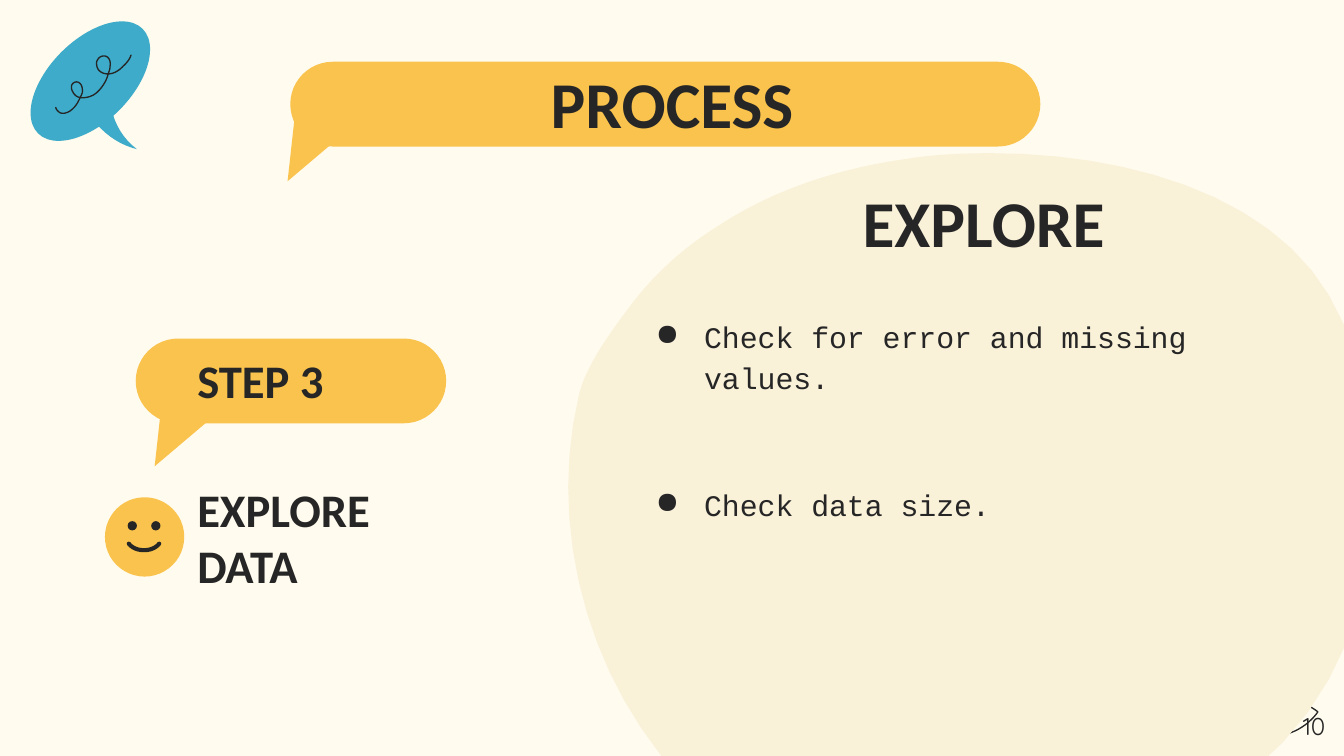
from dataclasses import dataclass

from lxml.etree import SubElement
from pptx import Presentation
from pptx.dml.color import RGBColor
from pptx.enum.shapes import MSO_SHAPE as Preset
from pptx.enum.text import MSO_ANCHOR as Anchor, PP_ALIGN as Align
from pptx.oxml.ns import qn
from pptx.shapes.autoshape import Shape
from pptx.slide import Slide
from pptx.text.text import _Paragraph as Paragraph
from pptx.util import Pt

CREAM, SAND, YELLOW, BLUE, INK = "FFFBEE", "FAF1D9", "FAC34D", "3DABC9", "262626"
CURVE_STEPS = 12


@dataclass
class Outline:
    """A path in points: segments of two numbers are lines, of six are cubic curves."""
    start: tuple[float, float]
    segments: list[tuple[float, ...]]


@dataclass
class Bubble:
    left: float
    top: float
    width: float
    tail_left: float
    tail_top: float


@dataclass
class Label:
    text: str
    left: float
    top: float
    width: float
    height: float
    size: float
    font: str = "Calibri"
    bold: bool = True
    align: Align = Align.LEFT
    anchor: Anchor = Anchor.MIDDLE


BACKDROP = Outline((531.4, 82.1), [
    (515.5, 82.1, 500.4, 82.8, 486.7, 85),
    (450, 90, 414, 101.5, 383.8, 121.7),
    (366.5, 132.5, 351.4, 146.2, 339.1, 162),
    (328.3, 176.4, 314.6, 194.4, 310.3, 211),
    (294.5, 275.8, 311, 349.9, 353.5, 403.9),
    (364, 417, 375.8, 428.4, 388.1, 437),
    (630.7, 437),
    (652.3, 427, 671, 414, 687.6, 397.4),
    (744.5, 337.7, 753.1, 228.2, 712.1, 158.4),
    (679, 102.2, 599.8, 82.1, 531.4, 82.1),
])
BLUE_TAIL = Outline((45.4, 56.2), [
    (50.4, 67.7, 61.2, 77, 73.4, 79.9),
    (62.6, 72, 57.6, 58.3, 59, 45.4),
])
SQUIGGLE = Outline((29.9, 57.6), [
    (30.2, 58.8, 31, 59.5, 31.9, 60.2),
    (33, 60.9, 34.4, 60.8, 35.8, 60.3),
    (37, 60, 38.2, 59, 39.3, 58),
    (40.5, 56.8, 41.8, 55, 42.8, 52.6),
    (43.6, 51, 44.2, 50, 44.2, 48.8),
    (44.2, 47.6, 44, 46.3, 43.4, 45.3),
    (42.7, 44.2, 41.4, 43.6, 40.3, 44),
    (39, 44.4, 38.3, 45.4, 38.3, 46.6),
    (38.3, 47.6, 38.6, 48.6, 39.2, 49.5),
    (40, 51, 41.4, 52, 42.8, 52.2),
    (44, 52.4, 45, 52.4, 46.1, 52.2),
    (48.8, 51.8, 51, 50.6, 52.8, 48.7),
    (55.2, 46.2, 57.2, 43, 58, 39.5),
    (58.6, 38, 59, 36.8, 59, 35.5),
    (59.2, 33.4, 59, 31.7, 57.6, 30.6),
    (56.2, 29.6, 54.2, 29.8, 52.9, 31.2),
    (52, 32.2, 51.6, 33.2, 51.8, 34.6),
    (52, 36.6, 52.9, 38, 54.7, 38.9),
    (55.6, 39.4, 56.8, 39.6, 58, 39.6),
    (59.4, 39.6, 60.6, 39.2, 61.9, 38.6),
    (63.4, 37.8, 64.8, 36.8, 66, 35.4),
    (68, 33.6, 69.4, 32, 70.2, 29.5),
])
LENS = Outline((666, 385.9), [
    (667, 384.6, 673, 376, 684, 374),
    (694.4, 373.3, 704.5, 380, 706, 381.4),
    (705, 383, 699, 391, 688.3, 393.5),
    (678, 395, 668, 387.5, 666, 385.9),
])
SMILE = Outline((69, 291.3), [(72.5, 296, 81.8, 296, 85.3, 291.3)])

BUBBLES = [
    Bubble(155.5, 33.1, 401.8, 156.2, 59),
    Bubble(72.7, 181.4, 166.3, 85, 211.7),
]
LABELS = [
    Label("PROCESS", 56.2, 41.8, 607.7, 25.9, 35, align=Align.CENTER),
    Label("10", 673.9, 373.7, 43.2, 31, 13, "Quicksand", False, Align.RIGHT, Anchor.TOP),
    Label("STEP 3", 98.6, 193.7, 128.9, 19.4, 25),
    Label("EXPLORE DATA", 98.6, 275.8, 128.9, 23.8, 25),
    Label("EXPLORE", 223.2, 105.8, 607.7, 25.9, 35, align=Align.CENTER),
]
CHECKS = ["Check for error and missing values.", "Check data size."]


def colour(value: str) -> RGBColor:
    return RGBColor.from_string(value)


def paint(shape: Shape, fill: str) -> Shape:
    shape.shadow.inherit = False
    shape.fill.solid()
    shape.fill.fore_color.rgb = colour(fill)
    shape.line.fill.background()
    return shape


def stroke(shape: Shape, width: float) -> None:
    shape.shadow.inherit = False
    shape.fill.background()
    shape.line.color.rgb = colour(INK)
    shape.line.width = Pt(width)
    shape.line._get_or_add_ln().set("cap", "rnd")


def draw_preset(page: Slide, preset: Preset, left: float, top: float,
                width: float, height: float, fill: str) -> Shape:
    return paint(page.shapes.add_shape(preset, Pt(left), Pt(top), Pt(width), Pt(height)), fill)


def flatten(outline: Outline) -> list[tuple[float, float]]:
    """Return the points after the start, with curves cut into short lines."""
    points = []
    x0, y0 = outline.start
    for segment in outline.segments:
        if len(segment) == 6:
            x1, y1, x2, y2, x3, y3 = segment
            for step in range(1, CURVE_STEPS + 1):
                t = step / CURVE_STEPS
                a, b, c, d = (1 - t) ** 3, 3 * t * (1 - t) ** 2, 3 * t * t * (1 - t), t ** 3
                points.append((a * x0 + b * x1 + c * x2 + d * x3,
                               a * y0 + b * y1 + c * y2 + d * y3))
        else:
            points.append(segment)
        x0, y0 = points[-1]
    return points


def draw_outline(page: Slide, outline: Outline, closed: bool) -> Shape:
    x, y = outline.start
    builder = page.shapes.build_freeform(Pt(x), Pt(y))
    builder.add_line_segments([(Pt(x), Pt(y)) for x, y in flatten(outline)], close=closed)
    return builder.convert_to_shape()


def draw_bubble(page: Slide, bubble: Bubble) -> None:
    body = draw_preset(page, Preset.ROUNDED_RECTANGLE, bubble.left, bubble.top,
                       bubble.width, 45.4, YELLOW)
    body.adjustments[0] = 0.5
    tail = draw_preset(page, Preset.RIGHT_TRIANGLE, bubble.tail_left, bubble.tail_top,
                       38.2, 40.3, YELLOW)
    tail.rotation = 186.3
    tail._element.spPr.find(qn("a:xfrm")).set("flipH", "1")


def add_box(page: Slide, left: float, top: float, width: float, height: float) -> Shape:
    box = page.shapes.add_textbox(Pt(left), Pt(top), Pt(width), Pt(height))
    frame = box.text_frame
    frame.word_wrap = True
    frame.margin_left = frame.margin_right = frame.margin_top = frame.margin_bottom = Pt(7.2)
    return box


def format_runs(para: Paragraph, font: str, size: float, bold: bool = False) -> None:
    for span in para.runs:
        span.font.name = font
        span.font.size = Pt(size)
        span.font.bold = bold
        span.font.color.rgb = colour(INK)


def draw_label(page: Slide, label: Label) -> None:
    frame = add_box(page, label.left, label.top, label.width, label.height).text_frame
    frame.vertical_anchor = label.anchor
    frame.text = label.text
    para = frame.paragraphs[0]
    para.alignment = label.align
    format_runs(para, label.font, label.size, label.bold)


def draw_checks(page: Slide) -> None:
    frame = add_box(page, 334.1, 160.6, 373, 270).text_frame
    frame.text = "\n".join(CHECKS)
    for index, para in enumerate(frame.paragraphs):
        para.line_spacing = 1.15
        if index:
            para.space_before = Pt(46)
        properties = para._p.get_or_add_pPr()
        properties.set("marL", str(Pt(36)))
        properties.set("indent", str(-Pt(26)))
        SubElement(SubElement(properties, qn("a:buClr")), qn("a:srgbClr")).set("val", INK)
        SubElement(properties, qn("a:buChar")).set("char", "●")
        format_runs(para, "Courier New", 16)


def draw_face(page: Slide) -> None:
    draw_preset(page, Preset.OVAL, 56.2, 266.4, 42.5, 42.5, YELLOW)
    for left in (68.4, 81):
        draw_preset(page, Preset.OVAL, left, 279.2, 5, 5, INK)
    stroke(draw_outline(page, SMILE, closed=False), 2.2)


def main() -> None:
    deck = Presentation()
    deck.slide_width, deck.slide_height = Pt(720), Pt(405)
    page = deck.slides.add_slide(deck.slide_layouts[6])
    page.background.fill.solid()
    page.background.fill.fore_color.rgb = colour(CREAM)

    stroke(draw_outline(page, LENS, closed=True), 0.7)
    draw_preset(page, Preset.OVAL, 8.8, 21.5, 79.2, 43.9, BLUE).rotation = 315
    paint(draw_outline(page, BLUE_TAIL, closed=True), BLUE)
    stroke(draw_outline(page, SQUIGGLE, closed=False), 0.7)
    paint(draw_outline(page, BACKDROP, closed=True), SAND)
    for bubble in BUBBLES:
        draw_bubble(page, bubble)
    draw_face(page)
    draw_checks(page)
    for label in LABELS:
        draw_label(page, label)
    deck.save("out.pptx")


if __name__ == "__main__":
    main()
